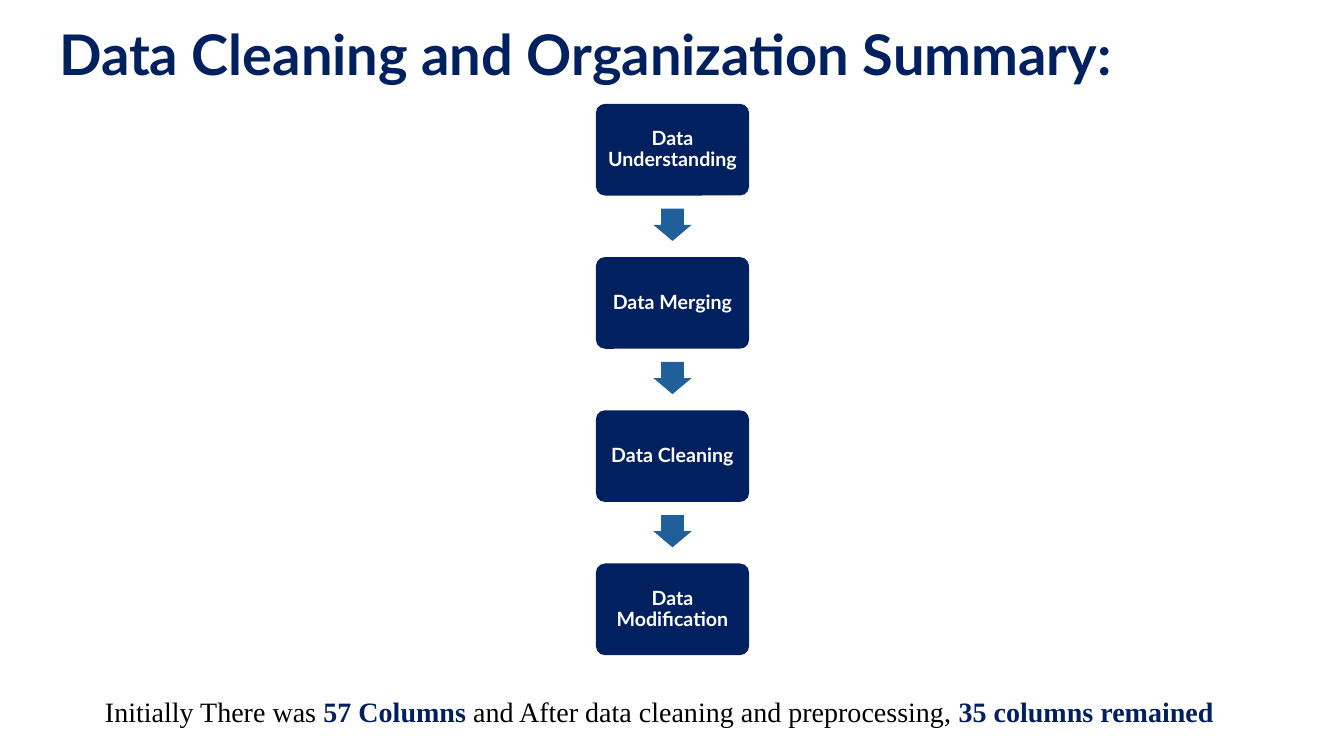
from pptx import Presentation
from pptx.dml.color import RGBColor
from pptx.enum.shapes import MSO_SHAPE as SHAPE
from pptx.enum.text import MSO_ANCHOR as ANCHOR, PP_ALIGN as ALIGN
from pptx.util import Inches, Pt

NAVY = RGBColor(0x00, 0x20, 0x60)
BLUE = RGBColor(0x21, 0x5F, 0x9A)
WHITE = RGBColor(0xFF, 0xFF, 0xFF)
BLACK = RGBColor(0x00, 0x00, 0x00)

STEPS = ["Data Understanding", "Data Merging", "Data Cleaning", "Data Modification"]
SUMMARY = [
    ("Initially There was ", False),
    ("57 Columns ", True),
    ("and After data cleaning and preprocessing, ", False),
    ("35 columns remained", True),
]
CENTER = 6.67
STEP_TOP, STEP_PITCH = 1.03, 1.52
STEP_W, STEP_H = 1.52, 0.91
ARROW_W, ARROW_H = 0.38, 0.32
ARROW_OFFSET = 1.04


def add_run(p, text, font, size, color, bold):
    r = p.add_run()
    r.text = text
    r.font.name = font
    r.font.size = Pt(size)
    r.font.color.rgb = color
    r.font.bold = bold


def add_text(s, left, top, width, height):
    tf = s.shapes.add_textbox(
        Inches(left), Inches(top), Inches(width), Inches(height)).text_frame
    tf.word_wrap = True
    return tf.paragraphs[0]


def add_centered_shape(s, kind, top, width, height, color, adjustments):
    sp = s.shapes.add_shape(
        kind, Inches(CENTER - width / 2), Inches(top), Inches(width), Inches(height))
    for i, value in enumerate(adjustments):
        sp.adjustments[i] = value
    sp.shadow.inherit = False
    sp.fill.solid()
    sp.fill.fore_color.rgb = color
    sp.line.fill.background()
    return sp


def add_step(s, top, label):
    sp = add_centered_shape(s, SHAPE.ROUNDED_RECTANGLE, top, STEP_W, STEP_H, NAVY, [0.1])
    tf = sp.text_frame
    tf.word_wrap = True
    tf.vertical_anchor = ANCHOR.MIDDLE
    tf.margin_left = tf.margin_right = Inches(0.08)
    tf.margin_top = tf.margin_bottom = Inches(0.08)
    p = tf.paragraphs[0]
    p.alignment = ALIGN.CENTER
    p.line_spacing = 0.9
    add_run(p, label, "Lato", 14, WHITE, True)


def add_arrow(s, top):
    add_centered_shape(s, SHAPE.DOWN_ARROW, top, ARROW_W, ARROW_H, BLUE, [0.6, 0.5])


def main():
    prs = Presentation()
    prs.slide_width = Inches(13.33)
    prs.slide_height = Inches(7.5)
    s = prs.slides.add_slide(prs.slide_layouts[6])

    p = add_text(s, 0.49, 0.22, 12.36, 0.75)
    p.line_spacing = 0.9
    add_run(p, "Data Cleaning and Organization Summary:", "Lato", 40, NAVY, True)

    for i, label in enumerate(STEPS):
        top = STEP_TOP + i * STEP_PITCH
        add_step(s, top, label)
        if i < len(STEPS) - 1:
            add_arrow(s, top + ARROW_OFFSET)

    p = add_text(s, 0.36, 6.84, 12.36, 0.44)
    p.alignment = ALIGN.CENTER
    for text, strong in SUMMARY:
        add_run(p, text, "Times New Roman", 20, NAVY if strong else BLACK, strong)

    prs.save("out.pptx")


if __name__ == "__main__":
    main()
